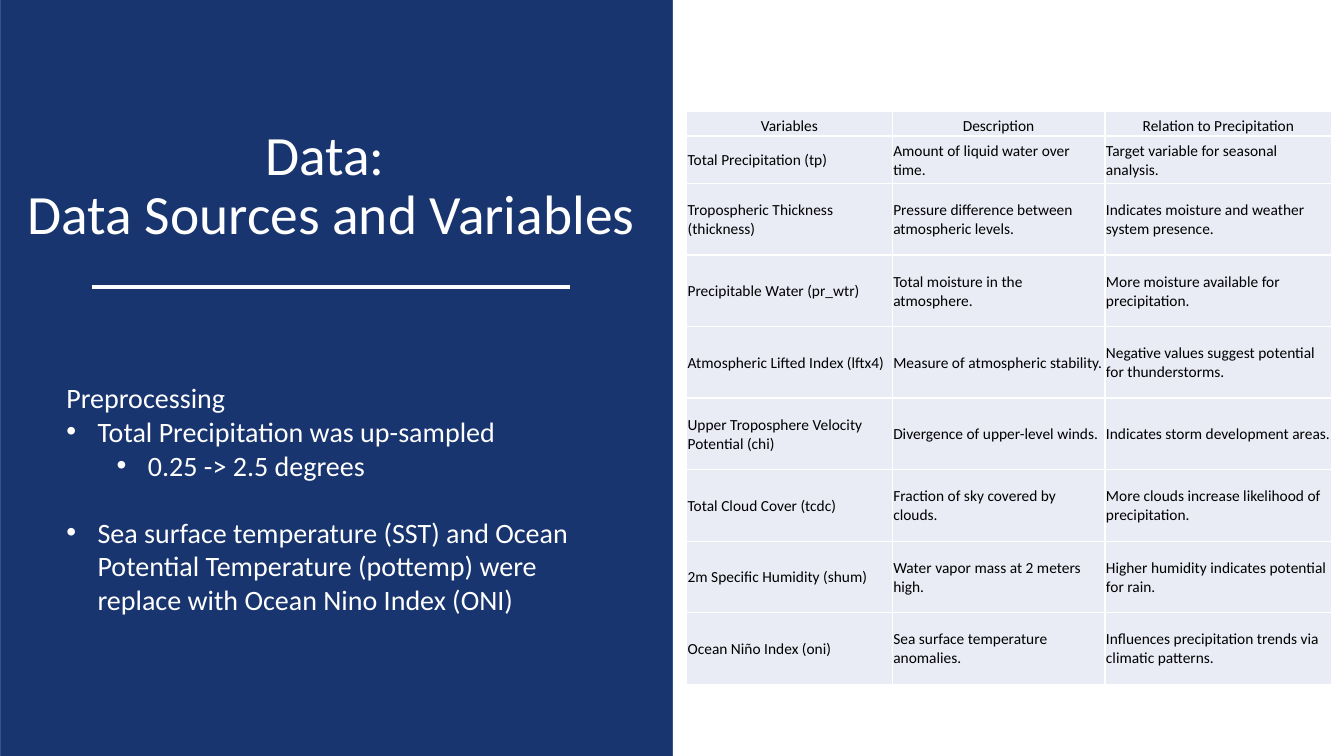
"""Build a slide on data sources, preprocessing and climate variables."""
import lxml.etree
import pptx
import pptx.dml.color
import pptx.enum.shapes
import pptx.enum.text
import pptx.oxml.ns
import pptx.util

Inches = pptx.util.Inches
Pt = pptx.util.Pt
Color = pptx.dml.color.RGBColor.from_string
Align = pptx.enum.text.PP_ALIGN
Anchor = pptx.enum.text.MSO_ANCHOR
qn = pptx.oxml.ns.qn

THEME = {
    "navy": Color("002060"),
    "edge": Color("325491"),
    "white": Color("FFFFFF"),
    "cell": Color("E9EBF5"),
    "title": {"name": "Calibri", "size": Pt(39.6), "color": Color("FFFFFF")},
    "body": {"name": "Calibri", "size": Pt(20), "color": Color("FFFFFF")},
    "table": {"name": "Calibri", "size": Pt(11), "color": Color("000000")},
}

VARIABLES = [
    ("Variables", "Description", "Relation to Precipitation"),
    ("Total Precipitation (tp)", "Amount of liquid water over time.",
     "Target variable for seasonal analysis."),
    ("Tropospheric Thickness (thickness)", "Pressure difference between atmospheric levels.",
     "Indicates moisture and weather system presence."),
    ("Precipitable Water (pr_wtr)", "Total moisture in the atmosphere.",
     "More moisture available for precipitation."),
    ("Atmospheric Lifted Index (lftx4)", "Measure of atmospheric stability.",
     "Negative values suggest potential for thunderstorms."),
    ("Upper Troposphere Velocity Potential (chi)", "Divergence of upper-level winds.",
     "Indicates storm development areas."),
    ("Total Cloud Cover (tcdc)", "Fraction of sky covered by clouds.",
     "More clouds increase likelihood of precipitation."),
    ("2m Specific Humidity (shum)", "Water vapor mass at 2 meters high.",
     "Higher humidity indicates potential for rain."),
    ("Ocean Niño Index (oni)", "Sea surface temperature anomalies.",
     "Influences precipitation trends via climatic patterns."),
]
COLUMN_WIDTHS = [2.04, 2.11, 2.25]
ROW_HEIGHTS = [0.24, 0.47] + [0.71] * 7

PREPROCESSING = [
    ("Preprocessing", 0, None, 0),
    ("Total Precipitation was up-sampled", 0, 0.31, 0),
    ("0.25 -> 2.5 degrees", 1, 0.81, 0),
    ("Sea surface temperature (SST) and Ocean Potential Temperature (pottemp) "
     "were replace with Ocean Nino Index (ONI)", 0, 0.31, 24),
]


def write(para, text, style):
    """Put text in a paragraph and give it a theme style."""
    para.text = text
    for span in para.runs:
        for name, value in THEME[style].items():
            if name == "color":
                span.font.color.rgb = value
            else:
                setattr(span.font, name, value)


deck = pptx.Presentation()
deck.slide_width, deck.slide_height = Inches(13.33), Inches(7.5)
page = deck.slides.add_slide(deck.slide_layouts[5])

title = page.shapes.title
title_place = {"left": -0.05, "top": 1.11, "width": 6.67, "height": 1.49}
for name, value in title_place.items():
    setattr(title, name, Inches(value))
title_format = {"word_wrap": True, "vertical_anchor": Anchor.MIDDLE,
                "auto_size": pptx.enum.text.MSO_AUTO_SIZE.NONE}
for name, value in title_format.items():
    setattr(title.text_frame, name, value)
heading = title.text_frame.paragraphs[0]
write(heading, "Data: \vData Sources and Variables", "title")
heading.alignment = Align.CENTER
heading.line_spacing = 0.9

panel = page.shapes.add_shape(pptx.enum.shapes.MSO_SHAPE.RECTANGLE,
                              Inches(0), Inches(-0.07), Inches(6.67), Inches(7.64))
panel.shadow.inherit = False
panel.fill.solid()
panel.fill.fore_color.rgb = THEME["navy"]
fill_color = next(panel.element.iter(qn("a:srgbClr")))
lxml.etree.SubElement(fill_color, qn("a:alpha"), val="90000")
panel.line.color.rgb = THEME["edge"]
panel.line.width = Pt(1)
title.element.addprevious(panel.element)

frame = page.shapes.add_table(len(VARIABLES), len(COLUMN_WIDTHS), Inches(6.81), Inches(1.11),
                              Inches(sum(COLUMN_WIDTHS)), Inches(sum(ROW_HEIGHTS)))
table = frame.table
table.first_row = table.horz_banding = False
for column, width in zip(table.columns, COLUMN_WIDTHS):
    column.width = Inches(width)
for row, height, texts in zip(table.rows, ROW_HEIGHTS, VARIABLES):
    row.height = Inches(height)
    is_header = texts is VARIABLES[0]
    cell_format = {"margin_left": Inches(0.01), "margin_right": Inches(0.01),
                   "margin_top": Inches(0.01), "margin_bottom": Inches(0),
                   "vertical_anchor": Anchor.BOTTOM if is_header else Anchor.MIDDLE}
    for cell, text in zip(row.cells, texts):
        for name, value in cell_format.items():
            setattr(cell, name, value)
        cell.fill.solid()
        cell.fill.fore_color.rgb = THEME["cell"]
        para = cell.text_frame.paragraphs[0]
        write(para, text, "table")
        para.alignment = Align.CENTER if is_header else Align.LEFT
for properties in frame.element.iter(qn("a:tcPr")):
    for position, side in enumerate(["lnL", "lnR", "lnT", "lnB"]):
        border = lxml.etree.Element(qn(f"a:{side}"), w=str(Pt(1)))
        border_fill = lxml.etree.SubElement(border, qn("a:solidFill"))
        lxml.etree.SubElement(border_fill, qn("a:srgbClr"), val=str(THEME["white"]))
        properties.insert(position, border)

box = page.shapes.add_textbox(Inches(0.56), Inches(3.73), Inches(5.54), Inches(2.46))
box.text_frame.word_wrap = True
for number, (text, level, indent, space) in enumerate(PREPROCESSING):
    para = box.text_frame.add_paragraph() if number else box.text_frame.paragraphs[0]
    write(para, text, "body")
    para.level = level
    para.space_before = Pt(space)
    if indent:
        settings = para._p.get_or_add_pPr()
        settings.set("marL", str(Inches(indent)))
        settings.set("indent", str(Inches(-0.31)))
        lxml.etree.SubElement(settings, qn("a:buFont"), typeface="Arial")
        lxml.etree.SubElement(settings, qn("a:buChar"), char="•")

rule = page.shapes.add_connector(pptx.enum.shapes.MSO_CONNECTOR.STRAIGHT,
                                 Inches(0.91), Inches(2.85), Inches(5.65), Inches(2.85))
rule.line.color.rgb = THEME["white"]
rule.line.width = Pt(3)
lxml.etree.SubElement(rule.element.find(qn("p:spPr")), qn("a:effectLst"))

deck.save("out.pptx")
